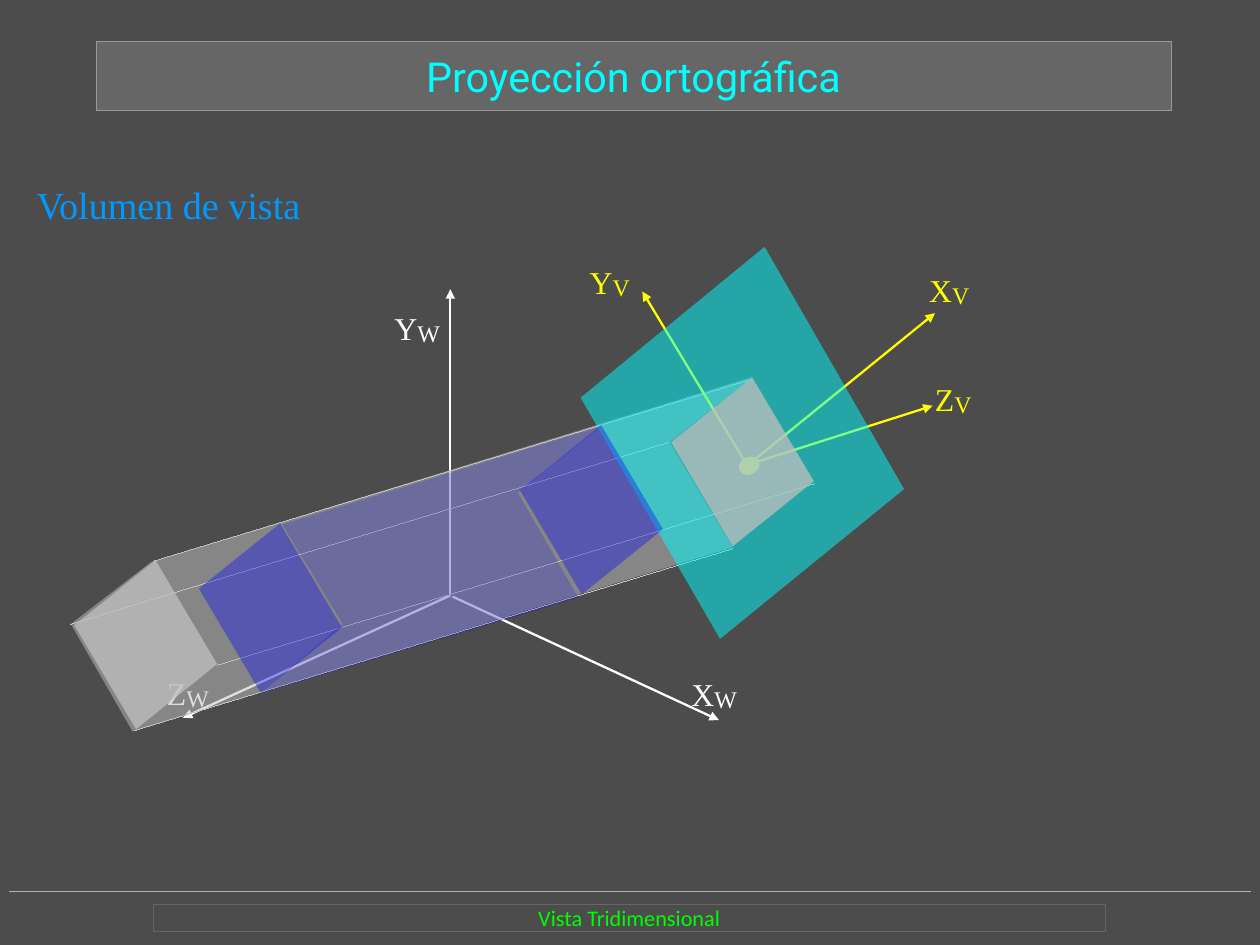
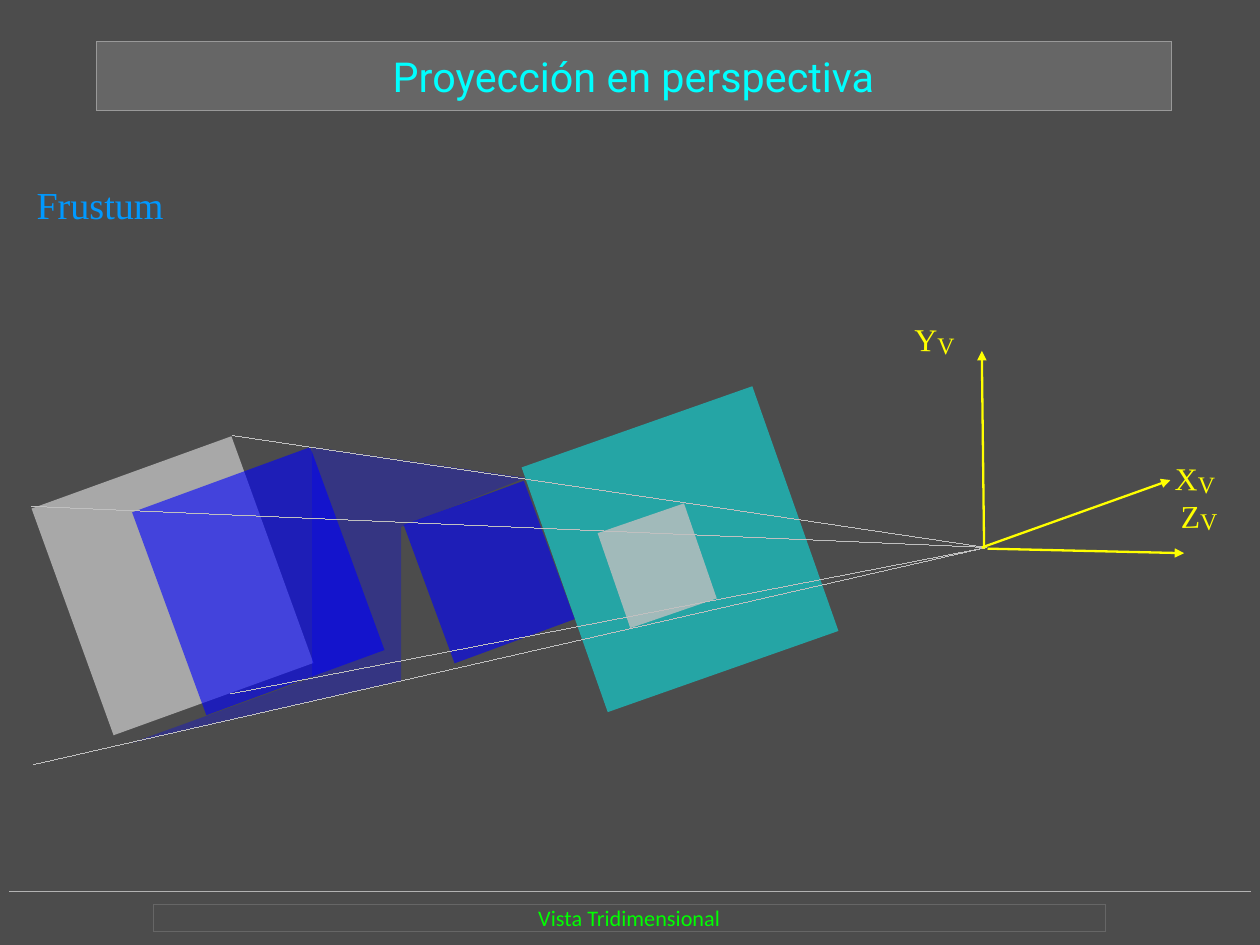
from dataclasses import dataclass
from typing import NamedTuple, Optional, Sequence

from lxml.etree import SubElement
from pptx import Presentation
from pptx.dml.color import RGBColor
from pptx.dml.line import LineFormat
from pptx.enum.shapes import MSO_CONNECTOR as Connector, MSO_SHAPE as Preset
from pptx.enum.text import MSO_ANCHOR as Anchor, MSO_AUTO_SIZE as AutoSize, PP_ALIGN as Align
from pptx.oxml.ns import qn
from pptx.shapes.base import BaseShape
from pptx.slide import Slide
from pptx.text.text import TextFrame
from pptx.util import Cm, Inches, Pt

# The slide is a grid whose columns and rows are one inch each
SLIDE_WIDTH, SLIDE_HEIGHT = Cm(28), Cm(21)
TITLE_ONLY = 5


@dataclass(frozen=True)
class Theme:
    background: str = "4C4C4C"
    band: str = "666666"
    band_edge: str = "999999"
    rule: str = "B3B3B3"
    title: str = "00FFFF"
    heading: str = "0099FF"
    footer: str = "00FF00"
    world: str = "FFFFFF"
    view: str = "FFFF00"
    plane: str = "00FFFF"
    window: str = "C0C0C0"
    volume: str = "0000FF"
    title_font: str = "Roboto"
    footer_font: str = "Calibri"
    body_font: str = "Times New Roman"
    title_size: float = 26
    heading_size: float = 24
    label_size: float = 20
    subscript_size: float = 25.9
    footer_size: float = 14
    axis_width: float = 1.45
    hairline: float = 0


THEME = Theme()


class Point(NamedTuple):
    x: float
    y: float

    def shift(self, dx: float, dy: float) -> "Point":
        return Point(self.x + dx, self.y + dy)


class Box(NamedTuple):
    left: float
    top: float
    width: float
    height: float

    def lengths(self) -> list[int]:
        return [Inches(value) for value in self]


class Axis(NamedTuple):
    letter: str
    start: Point
    end: Point
    label: Point
    rotation: float = 0


class Tilted(NamedTuple):
    box: Box
    rotation: float
    color: str
    opacity: int


TITLE_BOX = Box(0.84, 0.36, 9.41, 0.61)
HEADING_BOX = Box(0.32, 1.59, 9.96, 0.4)
FOOTER_BOX = Box(1.34, 7.91, 8.33, 0.24)
FOOTER_RULE = (Point(0.08, 7.8), Point(10.94, 7.8))
LABEL_WIDTH, LABEL_HEIGHT = 0.5, 0.45

# Orthographic view: one face is repeated along the projection direction
FACE = [(0, 0), (-0.54, -0.91), (0.17, -1.48), (0.71, -0.57)]
PROJECTION = (5.23, -1.59)
EDGE_STARTS = [Point(1.34, 4.91), Point(0.62, 5.46), Point(1.18, 6.39), Point(1.9, 5.82)]
SIDES = [Point(1.16, 6.4), Point(0.62, 5.46), Point(1.32, 4.92), Point(6.58, 3.3),
         Point(5.86, 3.87), Point(6.41, 4.79)]
VIEW_PLANE = [Point(6.3, 5.59), Point(5.08, 3.48), Point(6.69, 2.16), Point(7.91, 4.28)]
VIEW_VOLUME = [Point(2.47, 4.59), Point(5.26, 3.73), Point(4.53, 4.31),
               Point(5.06, 5.23), Point(2.27, 6.07), Point(3, 5.46)]
WORLD_ORIGIN = Point(3.94, 5.21)
WORLD_AXES = [
    Axis("X", Point(3.96, 5.22), Point(6.29, 6.3), Point(6.05, 5.82)),
    Axis("Y", WORLD_ORIGIN, Point(3.94, 2.53), Point(3.45, 2.62)),
    Axis("Z", WORLD_ORIGIN, Point(1.6, 6.28), Point(1.46, 5.81)),
]
VIEW_AXES = [
    Axis("Y", Point(6.53, 4.06), Point(5.62, 2.55), Point(5.16, 2.22)),
    Axis("X", Point(6.53, 4.08), Point(8.18, 2.74), Point(8.13, 2.29)),
    Axis("Z", Point(6.56, 4.06), Point(8.16, 3.55), Point(8.18, 3.24)),
]

# Perspective view: every ray starts at the eye
EYE = Point(8.63, 4.79)
RAY_ENDS = [Point(2.03, 3.81), Point(0.28, 4.43), Point(2.02, 6.07), Point(0.29, 6.69)]
FRUSTUM = [Point(1.15, 6.5), Point(2.73, 5.93), Point(2.73, 3.91), Point(4.6, 4.18),
           Point(3.51, 4.61), Point(3.51, 5.96)]
CUTS = [
    Tilted(Box(4.88, 3.67, 2.14, 2.27), 340.6, THEME.plane, 50),
    Tilted(Box(5.35, 4.51, 0.8, 0.88), 341, THEME.window, 80),
    Tilted(Box(0.58, 4.07, 1.86, 2.11), 340.1, THEME.window, 80),
    Tilted(Box(1.43, 4.14, 1.66, 1.89), 339.9, THEME.volume, 60),
    Tilted(Box(3.72, 4.36, 1.12, 1.29), 339.8, THEME.volume, 60),
]
EYE_AXES = [
    Axis("Y", Point(8.61, 4.8), Point(8.59, 3.07), Point(8, 2.72), 0.9),
    Axis("X", Point(8.59, 4.79), Point(10.24, 4.2), Point(10.28, 3.94), 1.1),
    Axis("Z", Point(8.64, 4.8), Point(10.36, 4.84), Point(10.33, 4.26), 359.1),
]


def stroke(line: LineFormat, color: str, width: float) -> None:
    """Set colour and width; a hairline needs its zero width written out."""
    line.color.rgb = RGBColor.from_string(color)
    line._get_or_add_ln().set("w", str(Pt(width)))


def paint(shape: BaseShape, fill: Optional[str] = None, opacity: int = 100,
          line: Optional[str] = None) -> None:
    """Set fill, opacity and outline, without a shadow."""
    shape.shadow.inherit = False
    if fill:
        shape.fill.solid()
        shape.fill.fore_color.rgb = RGBColor.from_string(fill)
        if opacity < 100:
            color = shape.fill._xPr.find(".//" + qn("a:srgbClr"))
            SubElement(color, qn("a:alpha")).set("val", str(opacity * 1000))
    else:
        shape.fill.background()
    if line:
        stroke(shape.line, line, THEME.hairline)
    else:
        shape.line.fill.background()


def write(frame: TextFrame, text: str, *, size: float, color: str,
          font: str = THEME.body_font, align: Align = Align.LEFT,
          anchor: Anchor = Anchor.TOP, subscript: str = "") -> None:
    """Write one paragraph, with an optional subscript after it."""
    frame.word_wrap = True
    frame.auto_size = AutoSize.NONE
    frame.vertical_anchor = anchor
    frame.margin_left = frame.margin_right = frame.margin_top = frame.margin_bottom = 0
    paragraph = frame.paragraphs[0]
    paragraph.alignment = align
    parts = [(text, size), (subscript, THEME.subscript_size)]
    for content, points in parts[:2 if subscript else 1]:
        run = paragraph.add_run()
        run.text = content
        run.font.name = font
        run.font.size = Pt(points)
        run.font.color.rgb = RGBColor.from_string(color)
    if subscript:
        run.font._element.set("baseline", "-5000")


def add_line(slide: Slide, start: Point, end: Point, color: str,
             width: float = THEME.hairline, arrow: bool = False) -> BaseShape:
    ends = [Inches(value) for value in (*start, *end)]
    connector = slide.shapes.add_connector(Connector.STRAIGHT, *ends)
    stroke(connector.line, color, width)
    if arrow:
        SubElement(connector.line._get_or_add_ln(), qn("a:tailEnd")).set("type", "triangle")
    SubElement(connector._element.spPr, qn("a:effectLst"))
    return connector


def add_polygon(slide: Slide, points: Sequence[Point], fill: str, opacity: int) -> None:
    corners = [(Inches(x), Inches(y)) for x, y in points]
    builder = slide.shapes.build_freeform(*corners[0])
    builder.add_line_segments(corners[1:], close=True)
    paint(builder.convert_to_shape(), fill, opacity)


def add_face(slide: Slide, corner: Point, fill: str, opacity: int) -> None:
    add_polygon(slide, [corner.shift(*offset) for offset in FACE], fill, opacity)


def add_preset(slide: Slide, preset: Preset, tilted: Tilted) -> None:
    shape = slide.shapes.add_shape(preset, *tilted.box.lengths())
    shape.rotation = tilted.rotation
    paint(shape, tilted.color, tilted.opacity)


def add_axes(slide: Slide, axes: Sequence[Axis], system: str, color: str) -> None:
    for axis in axes:
        add_line(slide, axis.start, axis.end, color, THEME.axis_width, arrow=True)
    for axis in axes:
        box = Box(*axis.label, LABEL_WIDTH, LABEL_HEIGHT)
        label = slide.shapes.add_textbox(*box.lengths())
        label.rotation = axis.rotation
        write(label.text_frame, axis.letter, subscript=system,
              size=THEME.label_size, color=color)


def set_up_master(presentation: Presentation, slide: Slide) -> None:
    """Draw the background, rule and footer once, on the slide master."""
    master = presentation.slide_master
    master.background.fill.solid()
    master.background.fill.fore_color.rgb = RGBColor.from_string(THEME.background)
    rule = add_line(slide, *FOOTER_RULE, THEME.rule)
    footer = slide.shapes.add_shape(Preset.RECTANGLE, *FOOTER_BOX.lengths())
    paint(footer, line=THEME.band)
    write(footer.text_frame, "Vista Tridimensional", font=THEME.footer_font,
          size=THEME.footer_size, color=THEME.footer, align=Align.CENTER,
          anchor=Anchor.MIDDLE)
    for number, shape in enumerate((rule, footer), start=101):
        shape._element.xpath(".//p:cNvPr")[0].set("id", str(number))
        master.shapes._spTree.append(shape._element)


def add_slide(presentation: Presentation, title: str, heading: str) -> Slide:
    slide = presentation.slides.add_slide(presentation.slide_layouts[TITLE_ONLY])
    band = slide.shapes.title
    band.left, band.top, band.width, band.height = TITLE_BOX.lengths()
    paint(band, THEME.band, line=THEME.band_edge)
    write(band.text_frame, title, font=THEME.title_font, size=THEME.title_size,
          color=THEME.title, align=Align.CENTER, anchor=Anchor.MIDDLE)
    box = slide.shapes.add_textbox(*HEADING_BOX.lengths())
    write(box.text_frame, heading, size=THEME.heading_size, color=THEME.heading)
    return slide


def draw_orthographic(slide: Slide) -> None:
    add_axes(slide, WORLD_AXES, "W", THEME.world)
    # Projected box
    add_face(slide, Point(1.19, 6.38), THEME.window, 75)
    add_polygon(slide, SIDES, THEME.window, 50)
    for start in EDGE_STARTS:
        add_line(slide, start.shift(*PROJECTION), start, THEME.window)
    # View coordinates and projection plane
    add_axes(slide, VIEW_AXES, "V", THEME.view)
    add_preset(slide, Preset.OVAL, Tilted(Box(6.46, 4, 0.19, 0.15), 332.7, THEME.view, 100))
    add_polygon(slide, VIEW_PLANE, THEME.plane, 50)
    add_face(slide, Point(6.41, 4.78), THEME.window, 75)
    # View volume between its near and far faces
    add_polygon(slide, VIEW_VOLUME, THEME.volume, 20)
    for corner in (Point(5.09, 5.2), Point(2.28, 6.06)):
        add_face(slide, corner, THEME.volume, 35)


def draw_perspective(slide: Slide) -> None:
    # Projection plane, window and cuts of the frustum
    for cut in CUTS:
        add_preset(slide, Preset.RECTANGLE, cut)
    add_polygon(slide, FRUSTUM, THEME.volume, 30)
    # Rays and view coordinates
    for end in RAY_ENDS:
        add_line(slide, EYE, end, THEME.window)
    add_axes(slide, EYE_AXES, "V", THEME.view)


def main() -> None:
    presentation = Presentation()
    presentation.slide_width, presentation.slide_height = SLIDE_WIDTH, SLIDE_HEIGHT
    orthographic = add_slide(presentation, "Proyección ortográfica", "Volumen de vista")
    set_up_master(presentation, orthographic)
    draw_orthographic(orthographic)
    draw_perspective(add_slide(presentation, "Proyección en perspectiva", "Frustum"))
    presentation.save("out.pptx")


if __name__ == "__main__":
    main()
